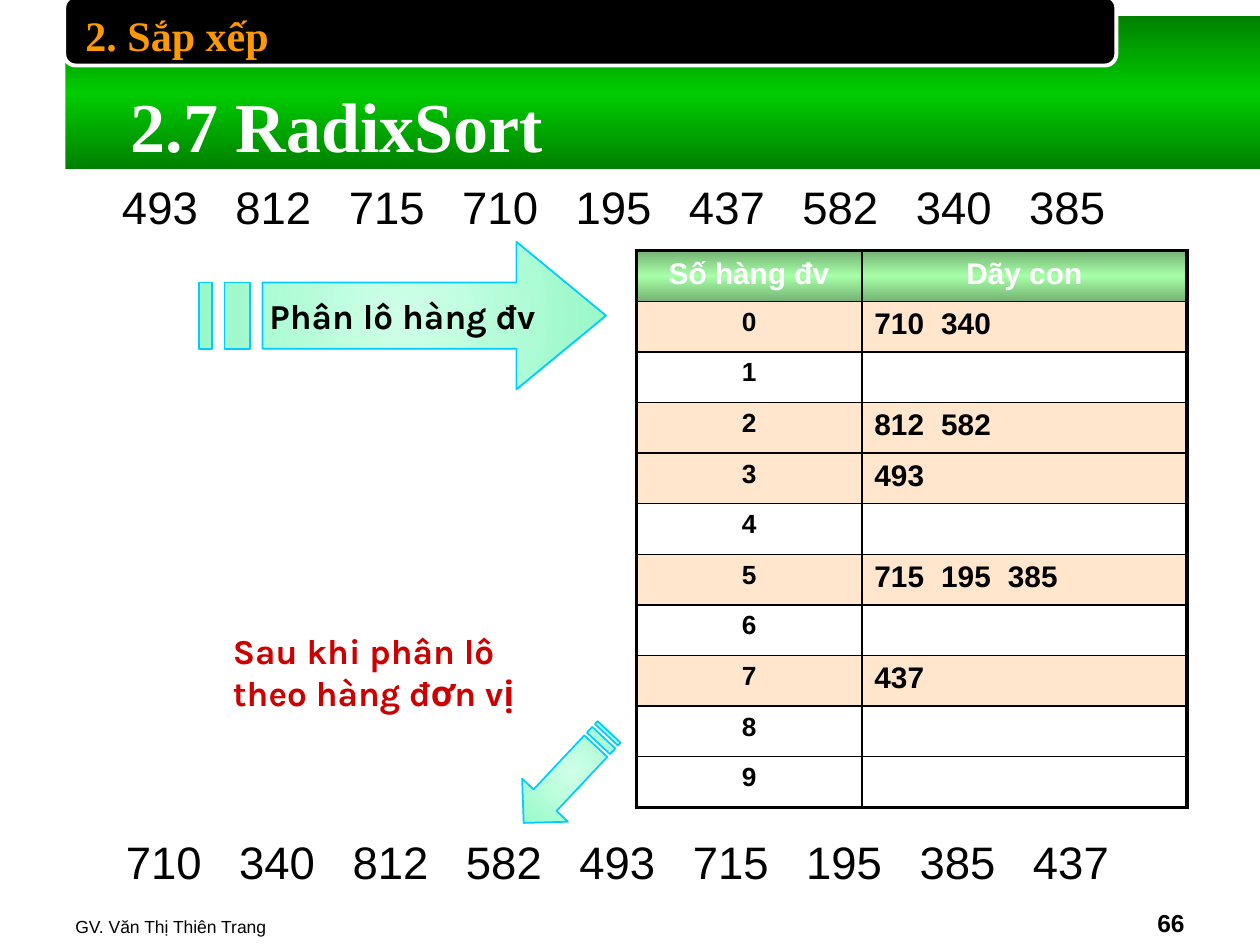
from lxml import etree
from pptx import Presentation
from pptx.dml.color import RGBColor
from pptx.enum.shapes import MSO_SHAPE
from pptx.enum.text import MSO_ANCHOR, PP_ALIGN
from pptx.oxml import parse_xml
from pptx.oxml.ns import qn
from pptx.util import Inches, Pt

RECT, ROUND_RECT = MSO_SHAPE.RECTANGLE, MSO_SHAPE.ROUNDED_RECTANGLE
LEFT, CENTER, RIGHT = PP_ALIGN.LEFT, PP_ALIGN.CENTER, PP_ALIGN.RIGHT
TOP, MIDDLE, BOTTOM = MSO_ANCHOR.TOP, MSO_ANCHOR.MIDDLE, MSO_ANCHOR.BOTTOM
DRAWING_NS = "http://schemas.openxmlformats.org/drawingml/2006/main"
GRID_COLS, GRID_ROWS = 100, 75

BEFORE = [493, 812, 715, 710, 195, 437, 582, 340, 385]
AFTER = [710, 340, 812, 582, 493, 715, 195, 385, 437]
GREEN_BAND = [(0, "008000", 100), (50, "00CC00", 100), (100, "008000", 100)]
HEADER_BAND = [(0, "75B375", 100), (50, "A7FFA7", 100), (100, "75B375", 100)]
MINT_GLOW = [(0, "99FFCC", 45), (100, "95F9C7", 100)]


def rgb(value):
    return RGBColor.from_string(value)


def set_gradient(fill, parent, stops, radial=False):
    fill.background()
    stop_xml = "".join(
        f'<a:gs pos="{pos * 1000}"><a:srgbClr val="{color}">'
        f'<a:alpha val="{alpha * 1000}"/></a:srgbClr></a:gs>'
        for pos, color, alpha in stops)
    direction = ('<a:path path="circle"><a:fillToRect l="50000" t="50000" r="50000" b="50000"/></a:path>'
                 if radial else '<a:lin ang="5400000" scaled="1"/>')
    grad = parse_xml(f'<a:gradFill xmlns:a="{DRAWING_NS}" rotWithShape="1">'
                     f'<a:gsLst>{stop_xml}</a:gsLst>{direction}</a:gradFill>')
    parent.replace(parent.find(qn("a:noFill")), grad)


def write(tf, text, size=18, color="000000", font="Arial", bold=False,
          align=LEFT, anchor=TOP, tab=None):
    tf.word_wrap = True
    tf.vertical_anchor = anchor
    for i, line in enumerate(text.split("\n")):
        p = tf.paragraphs[0] if i == 0 else tf.add_paragraph()
        p.alignment = align
        if tab:
            tabs = etree.SubElement(p._p.get_or_add_pPr(), qn("a:tabLst"))
            for n in range(1, line.count("\t") + 1):
                etree.SubElement(tabs, qn("a:tab"), pos=str(Inches(n * tab)), algn="l")
        for n, part in enumerate(line.split("\t")):
            r = p.add_run()
            r.text = part if n == 0 else "\t" + part
            r.font.size, r.font.bold, r.font.name = Pt(size), bold, font
            r.font.color.rgb = rgb(color)


class SlideBuilder:
    def __init__(self, prs):
        self.s = prs.slides.add_slide(prs.slide_layouts[6])
        self.col = prs.slide_width / GRID_COLS
        self.row = prs.slide_height / GRID_ROWS

    def area(self, x, y, w, h):
        return [round(v * unit) for v, unit in
                ((x, self.col), (y, self.row), (w, self.col), (h, self.row))]

    def text(self, box, text, **style):
        sp = self.s.shapes.add_textbox(*self.area(*box))
        write(sp.text_frame, text, **style)

    def panel(self, kind, box, fill, line=None):
        sp = self.s.shapes.add_shape(kind, *self.area(*box))
        sp.shadow.inherit = False
        if isinstance(fill, list):
            set_gradient(sp.fill, sp._element.spPr, fill)
        else:
            sp.fill.solid()
            sp.fill.fore_color.rgb = rgb(fill)
        if line:
            sp.line.color.rgb, sp.line.width = rgb(line), Pt(2.25)
        else:
            sp.line.fill.background()

    def striped_arrow(self, box, neck, shaft, rotation=0, text=None, **style):
        x, y, w, h = self.area(*box)
        top, bottom = (1 - shaft) / 2, (1 + shaft) / 2
        outlines = [[(neck, 0), (neck, top), (5 / 32, top), (5 / 32, bottom),
                     (neck, bottom), (neck, 1), (1, 0.5)]]
        outlines += [[(a / 32, top), (a / 32, bottom), (b / 32, bottom), (b / 32, top)]
                     for a, b in ((2, 4), (0, 1))]
        contours = [[(round(x + u * w), round(y + v * h)) for u, v in o] for o in outlines]
        builder = self.s.shapes.build_freeform(*contours[0][0])
        for i, points in enumerate(contours):
            if i:
                builder.move_to(*points[0])
            builder.add_line_segments(points[1:], close=True)
        sp = builder.convert_to_shape()
        sp.shadow.inherit = False
        sp.rotation = rotation
        set_gradient(sp.fill, sp._element.spPr, MINT_GLOW, radial=True)
        sp.line.color.rgb, sp.line.width = rgb("00CCFF"), Pt(1)
        if text:
            write(sp.text_frame, text, align=CENTER, anchor=MIDDLE, **style)

    def table(self, x, y, widths, height, header, lots):
        rows = [header] + [(str(i), "\t".join(map(str, lots.get(i, [])))) for i in range(10)]
        frame = self.s.shapes.add_table(len(rows), len(widths),
                                        *self.area(x, y, sum(widths), height))
        tbl = frame.table
        tbl.first_row = tbl.horz_banding = False
        for c, width in enumerate(widths):
            tbl.columns[c].width = round(width * self.col)
        for r, values in enumerate(rows):
            tbl.rows[r].height = round(height * self.row / len(rows))
            for c, value in enumerate(values):
                cell = tbl.cell(r, c)
                if value:
                    write(cell.text_frame, value, bold=True,
                          size=15 if r and c == 0 else 17,
                          color="000000" if r else "FFFFFF",
                          align=LEFT if r and c else CENTER, tab=0.53)
                if r == 0:
                    set_gradient(cell.fill, cell._tc.get_or_add_tcPr(), HEADER_BAND)
                else:
                    cell.fill.solid()
                    cell.fill.fore_color.rgb = rgb("FFE6CD" if values[1] else "FFFFFF")
                self.borders(cell, L=c == 0, R=c == len(widths) - 1,
                             T=r == 0, B=r == len(rows) - 1)

    def borders(self, cell, **outer):
        tc_pr = cell._tc.get_or_add_tcPr()
        for i, (side, is_outer) in enumerate(outer.items()):
            width = Pt(2.25 if is_outer else 1)
            tc_pr.insert(i, parse_xml(
                f'<a:ln{side} xmlns:a="{DRAWING_NS}" w="{width}"><a:solidFill>'
                f'<a:srgbClr val="000000"/></a:solidFill></a:ln{side}>'))


def main():
    prs = Presentation()
    prs.slide_width, prs.slide_height = Inches(10), Inches(7.5)
    b = SlideBuilder(prs)

    b.panel(RECT, (0, 1.3, 100, 12.1), GREEN_BAND)
    b.panel(ROUND_RECT, (5.1, -0.3, 83.5, 5.5), "000000", line="FFFFFF")
    b.panel(RECT, (0, 0, 5.2, 75), "FFFFFF")

    b.text((5, 69.9, 60.8, 5), "GV. Văn Thị Thiên Trang", size=10, anchor=BOTTOM)
    b.text((71.7, 69.9, 23.3, 5), "66", size=14, bold=True, align=RIGHT, anchor=BOTTOM)
    b.text((9.4, 6.1, 40, 7.7), "2.7 RadixSort", size=40, color="FFFFFF",
           font="Times New Roman", bold=True)

    for x, y, numbers in ((8.7, 13.7, BEFORE), (9, 65.7, AFTER)):
        b.text((x, y, 85, 5.4), "\t".join(map(str, numbers)), size=26, tab=0.9)

    b.table(50.5, 19.9, (17.9, 25.8), 44.2, ("Số hàng đv", "Dãy con"),
            {0: [710, 340], 2: [812, 582], 3: [493], 5: [715, 195, 385], 7: [437]})

    b.striped_arrow((15.8, 19.2, 32.3, 11.7), 0.78, 0.45, text="Phân lô hàng đv",
                    size=20, font="Karla", bold=True)
    b.striped_arrow((40, 59.2, 9.9, 5), 0.75, 0.5, rotation=133.2)

    b.text((17.5, 49.5, 26.7, 7.7), "Sau khi phân lô\ntheo hàng đơn vị", size=20,
           color="CC0000", font="Karla", bold=True)
    b.text((5.8, 0.3, 76.7, 5), "2. Sắp xếp", size=24, color="FF9900",
           font="Times New Roman", bold=True)

    prs.save("out.pptx")


if __name__ == "__main__":
    main()
